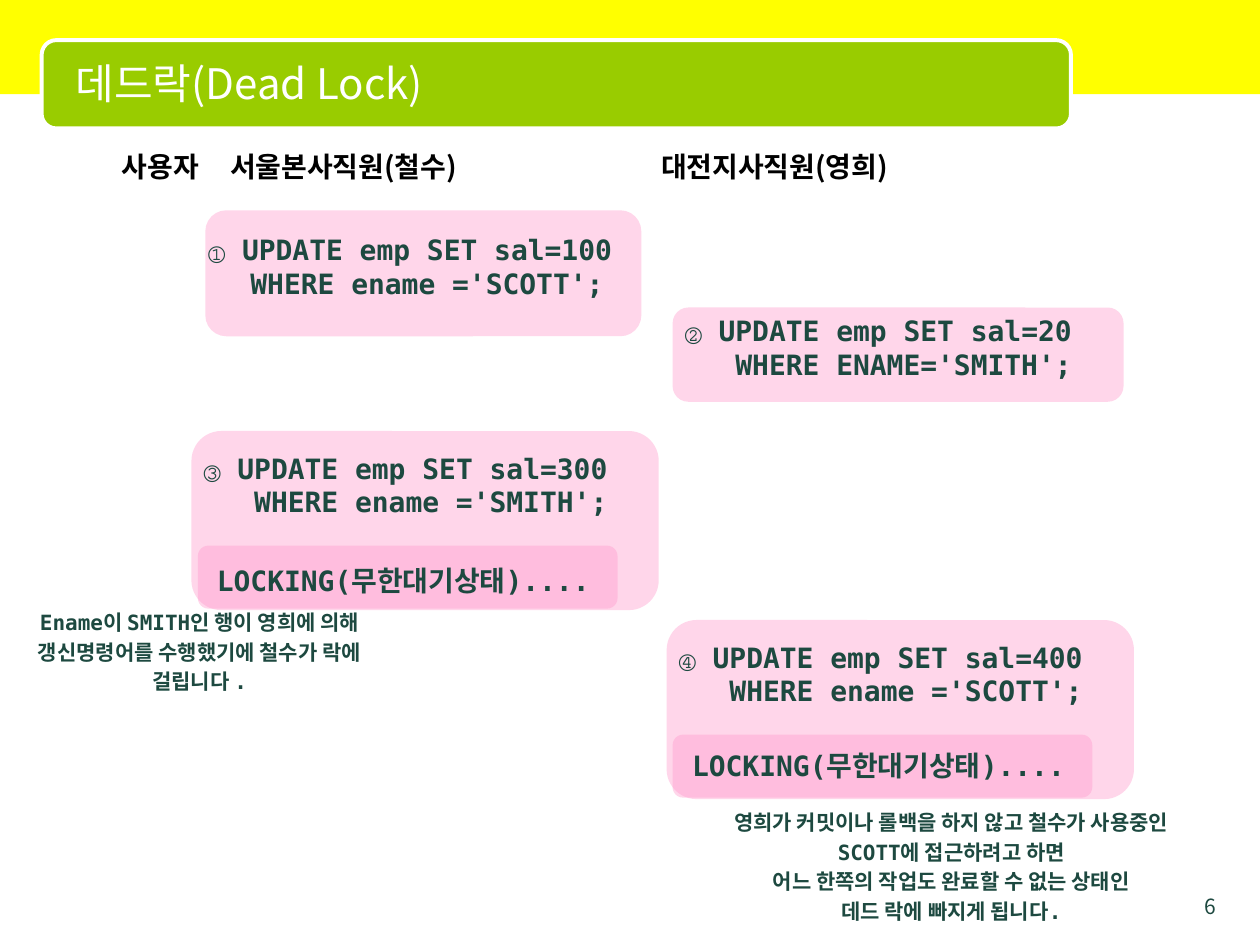
from dataclasses import dataclass

from lxml.etree import SubElement
from pptx import Presentation
from pptx.dml.color import RGBColor
from pptx.enum.shapes import MSO_SHAPE as Shape
from pptx.enum.text import MSO_ANCHOR as Anchor, PP_ALIGN as Align
from pptx.oxml.ns import qn
from pptx.util import Cm, Pt

COLORS = {
    "band": "FFFF00",
    "title_bar": "99CC00",
    "white": "FFFFFF",
    "heading": "000000",
    "text": "1D4940",
    "card": "FF99CC",
}
SANS = "Noto Sans CJK KR"
MONO = "DejaVu Sans Mono"


@dataclass(frozen=True)
class Box:
    left: float
    top: float
    width: float
    height: float

    def lengths(self) -> tuple:
        return Cm(self.left), Cm(self.top), Cm(self.width), Cm(self.height)


@dataclass(frozen=True)
class Style:
    size: float
    font: str = MONO
    color: str = "text"
    bold: bool = True
    align: Align = Align.LEFT
    line_spacing: float | None = None
    korean: bool = False


@dataclass(frozen=True)
class Card:
    panel: Box
    text_box: Box
    lines: tuple[str, ...]
    style: Style


@dataclass(frozen=True)
class Note:
    box: Box
    lines: tuple[str, ...]


CODE = Style(16)
CENTERED_CODE = Style(16, align=Align.CENTER)
LOCK = Style(16, align=Align.CENTER, korean=True)
NOTE = Style(12, align=Align.CENTER, line_spacing=17, korean=True)
HEADING = Style(16, SANS, "heading", korean=True)
TITLE = Style(24, SANS, "white", bold=False, korean=True)
NUMBER = Style(12, SANS, bold=False, align=Align.RIGHT)

LOCK_LINES = ("LOCKING(무한대기상태)....",)
HEADING_TABS = (2.18, 10.87)

CARDS = (
    Card(Box(4.14, 4.24, 8.79, 2.54), Box(3.61, 4.57, 9.32, 1.63),
         ("① UPDATE emp SET sal=100", "  WHERE ename ='SCOTT';"), CENTERED_CODE),
    Card(Box(3.86, 8.69, 9.42, 3.61), Box(3.86, 8.97, 9.42, 1.63),
         ("③ UPDATE emp SET sal=300", "   WHERE ename ='SMITH';"), CODE),
    Card(Box(13.56, 6.2, 9.09, 1.9), Box(13.56, 6.2, 10.59, 1.63),
         ("② UPDATE emp SET sal=20", "   WHERE ENAME='SMITH';"), CODE),
    Card(Box(3.99, 11, 8.46, 1.27), Box(3.81, 11.23, 8.64, 0.94), LOCK_LINES, LOCK),
    Card(Box(13.44, 12.5, 9.42, 3.61), Box(13.44, 12.78, 9.42, 1.63),
         ("④ UPDATE emp SET sal=400", "   WHERE ename ='SCOTT';"), CODE),
    Card(Box(13.56, 14.81, 8.46, 1.27), Box(13.39, 14.96, 8.64, 0.94), LOCK_LINES, LOCK),
)
NOTES = (
    Note(Box(0.2, 12.07, 7.65, 2.06),
         ("Ename이 SMITH인 행이 영희에 의해 갱신명령어를 수행했기에 철수가 락에 걸립니다 .",)),
    Note(Box(14.2, 16.1, 9.96, 2.67),
         ("영희가 커밋이나 롤백을 하지 않고 철수가 사용중인 SCOTT에 접근하려고 하면",
          "어느 한쪽의 작업도 완료할 수 없는 상태인",
          "데드 락에 빠지게 됩니다.")),
)


def rgb(name: str) -> RGBColor:
    return RGBColor.from_string(COLORS[name])


def add_panel(shapes, kind: Shape, box: Box, color: str, alpha: int = 100):
    """Add a filled shape without outline; alpha is its opacity in percent."""
    shape = shapes.add_shape(kind, *box.lengths())
    shape.shadow.inherit = False
    shape.fill.solid()
    shape.fill.fore_color.rgb = rgb(color)
    shape.line.fill.background()
    if alpha < 100:
        fill_color = shape.element.spPr.find(qn("a:solidFill"))[0]
        SubElement(fill_color, qn("a:alpha"), val=str(alpha * 1000))
    return shape


def write_lines(frame, lines: tuple[str, ...], style: Style) -> None:
    frame.word_wrap = True
    for index, line in enumerate(lines):
        paragraph = frame.add_paragraph() if index else frame.paragraphs[0]
        paragraph.alignment = style.align
        if style.line_spacing:
            paragraph.line_spacing = Pt(style.line_spacing)
        run = paragraph.add_run()
        run.text = line
        font = run.font
        font.name, font.size, font.bold = style.font, Pt(style.size), style.bold
        font.color.rgb = rgb(style.color)
        if style.korean:
            properties = run.font.color and run._r.get_or_add_rPr()
            SubElement(properties, qn("a:ea"), typeface=SANS)


def add_text(shapes, box: Box, lines: tuple[str, ...], style: Style):
    shape = shapes.add_textbox(*box.lengths())
    write_lines(shape.text_frame, lines, style)
    return shape


def add_card(shapes, card: Card) -> None:
    group = shapes.add_group_shape()
    add_panel(group.shapes, Shape.ROUNDED_RECTANGLE, card.panel, "card", alpha=40)
    add_text(group.shapes, card.text_box, card.lines, card.style)


def add_title(slide) -> None:
    add_panel(slide.shapes, Shape.RECTANGLE, Box(0, 0, 25.4, 1.9), "band")
    bar = add_panel(slide.shapes, Shape.ROUNDED_RECTANGLE,
                    Box(0.84, 0.81, 20.75, 1.78), "title_bar")
    bar.line.color.rgb = rgb("white")
    bar.line.width = Pt(2.25)
    title = slide.shapes.title
    title.left, title.top, title.width, title.height = Box(1.27, 0.89, 20.12, 1.57).lengths()
    title.text_frame.vertical_anchor = Anchor.MIDDLE
    write_lines(title.text_frame, ("데드락(Dead Lock)",), TITLE)
    title.element.getparent().append(title.element)  # in front of the bar


def add_headings(shapes) -> None:
    shape = add_text(shapes, Box(2.21, 2.9, 21.5, 1),
                     ("사용자\t서울본사직원(철수)\t대전지사직원(영희)",), HEADING)
    properties = shape.text_frame.paragraphs[0]._p.get_or_add_pPr()
    tabs = SubElement(properties, qn("a:tabLst"))
    for position in HEADING_TABS:
        SubElement(tabs, qn("a:tab"), pos=str(Cm(position)), algn="l")


def main() -> None:
    presentation = Presentation()
    presentation.slide_width, presentation.slide_height = Cm(25.4), Cm(19.05)
    slide = presentation.slides.add_slide(presentation.slide_layouts[5])
    add_title(slide)
    add_headings(slide.shapes)
    for card in CARDS:
        add_card(slide.shapes, card)
    for note in NOTES:
        add_text(slide.shapes, note.box, note.lines, NOTE)
    add_text(slide.shapes, Box(23.5, 17.88, 1.27, 0.53), ("6",), NUMBER)
    presentation.save("out.pptx")


if __name__ == "__main__":
    main()
